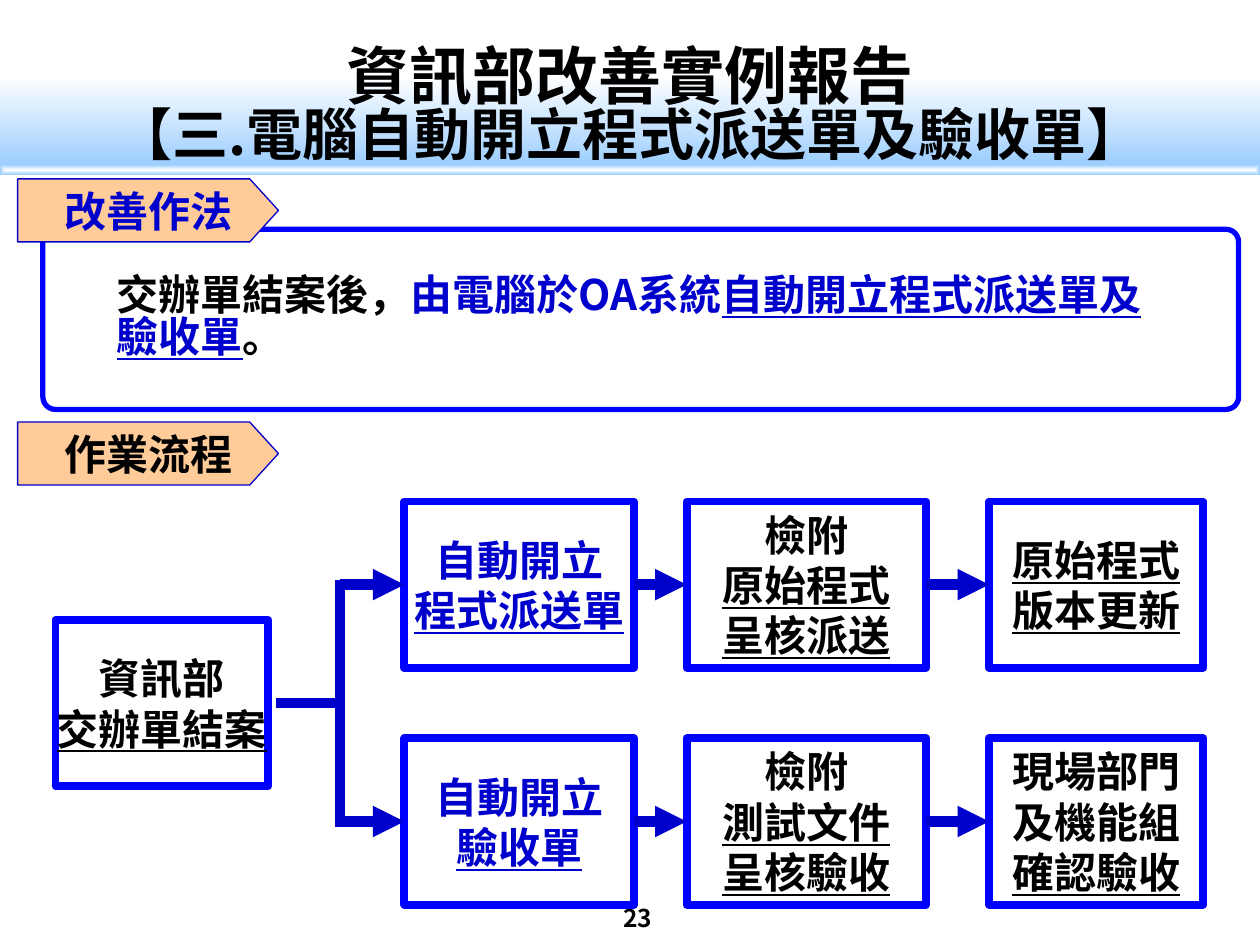
from lxml import etree
from pptx import Presentation
from pptx.dml.color import RGBColor
from pptx.enum.shapes import MSO_CONNECTOR, MSO_SHAPE
from pptx.enum.text import MSO_ANCHOR, MSO_AUTO_SIZE, PP_ALIGN
from pptx.oxml import parse_xml
from pptx.oxml.ns import nsdecls, qn
from pptx.util import Inches, Pt

RECT = MSO_SHAPE.RECTANGLE
ROUND = MSO_SHAPE.ROUNDED_RECTANGLE
LINE = MSO_CONNECTOR.STRAIGHT
LEFT, MID = PP_ALIGN.LEFT, PP_ALIGN.CENTER
FONT = "Noto Sans CJK SC"
BLACK = RGBColor(0x00, 0x00, 0x00)
WHITE = RGBColor(0xFF, 0xFF, 0xFF)
SKY = RGBColor(0x99, 0xCC, 0xFF)
BLUE = RGBColor(0x00, 0x00, 0xFF)
NAVY = RGBColor(0x00, 0x00, 0xCC)
PEACH = RGBColor(0xFF, 0xCC, 0x99)
COLS, ROWS = 100, 75
CELL = Inches(0.1)


def grid(*cells):
    return [round(n * CELL) for n in cells]


def write(shape, lines, size=24, color=BLACK, align=MID, pad=(0, 0), space=None):
    frame = shape.text_frame
    frame.auto_size = MSO_AUTO_SIZE.NONE
    frame.word_wrap = True
    frame.vertical_anchor = MSO_ANCHOR.MIDDLE
    frame.margin_left = frame.margin_right = round(pad[0] * CELL)
    frame.margin_top = frame.margin_bottom = round(pad[1] * CELL)
    for i, line in enumerate(lines):
        para = frame.add_paragraph() if i else frame.paragraphs[0]
        para.alignment = align
        para.space_before = Pt(0)
        para.line_spacing = space or 1.0
        for words, under, hue in line:
            run = para.add_run()
            run.text = words
            font = run.font
            font.name, font.size, font.bold = FONT, Pt(size), True
            font.underline = under
            font.color.rgb = hue or color
            face = etree.Element(qn("a:ea"), typeface=FONT)
            run.font._element.find(qn("a:latin")).addnext(face)


def plain(*lines):
    return [[(words, False, None)] for words in lines]


def label(slide, box, lines, **form):
    write(slide.shapes.add_textbox(*grid(*box)), lines, **form)


def frame_box(slide, box, width, kind=RECT):
    shape = slide.shapes.add_shape(kind, *grid(*box))
    shape.shadow.inherit = False
    shape.fill.background()
    shape.line.color.rgb = BLUE
    shape.line.width = Pt(width)
    return shape


def band(slide, box):
    shape = slide.shapes.add_shape(RECT, *grid(*box))
    shape.shadow.inherit = False
    shape.line.fill.background()
    shape.fill.gradient()
    shape.fill.gradient_angle = 270
    for stop, hue, place in zip(shape.fill.gradient_stops, (WHITE, SKY), (0, 1)):
        stop.color.rgb = hue
        stop.position = place
    return shape


def header(slide, box):
    x, y, w, h = box
    band(slide, (x, y + 0.43 * h, w, 0.53 * h))
    strip = band(slide, (x, y + 0.94 * h, w, 0.06 * h))
    grad = strip._element.spPr.find(qn("a:gradFill"))
    path = parse_xml(
        f'<a:path {nsdecls("a")} path="rect">'
        '<a:fillToRect l="50000" t="50000" r="50000" b="50000"/></a:path>'
    )
    grad.replace(grad.find(qn("a:lin")), path)
    title = slide.shapes.title
    title.left, title.top, title.width, title.height = grid(x, y + 2.9, w, 6)
    write(title, plain("資訊部改善實例報告"), size=36)
    title.element.getparent().append(title.element)
    label(slide, (x, y + 7.9, w, 5.3),
          plain("【三.電腦自動開立程式派送單及驗收單】"), size=32)


def tag(slide, box, words, color):
    x, y, w, h = box
    neck = x + 0.89 * w
    pen = slide.shapes.build_freeform(*grid(x, y))
    points = [(neck, y), (x + w, y + h / 2), (neck, y + h), (x, y + h)]
    pen.add_line_segments([grid(*p) for p in points], close=True)
    shape = pen.convert_to_shape()
    shape.shadow.inherit = False
    shape.fill.solid()
    shape.fill.fore_color.rgb = PEACH
    shape.line.color.rgb = NAVY
    shape.line.width = Pt(0.75)
    write(shape, plain(words), color=color, pad=(1, 0.5))


def method(slide, box):
    x, y, w, h = box
    panel = frame_box(slide, box, 3, ROUND)
    panel.adjustments[0] = 0.07
    body = [[("交辦單結案後，", False, BLACK),
             ("由電腦於OA系統", False, NAVY),
             ("自動開立程式派送單及驗收單", True, NAVY),
             ("。", False, BLACK)]]
    label(slide, (x + 4.9, y + 3.3, 0.9 * w, 7.7), body,
          align=LEFT, pad=(1, 0.5), space=Pt(24))


def step(slide, box, top, under, color=BLACK):
    shape = frame_box(slide, box, 4.5)
    lines = plain(*top) + [[(words, True, None)] for words in under]
    write(shape, lines, color=color)
    return shape


def link(slide, start, end, head=True, source=None, goal=None):
    line = slide.shapes.add_connector(LINE, *grid(*start), *grid(*end))
    if source is not None:
        line.begin_connect(source, 3)
    if goal is not None:
        line.end_connect(goal, 1)
    line.line.color.rgb = NAVY
    line.line.width = Pt(6)
    props = line._element.spPr
    if head:
        etree.SubElement(props.find(qn("a:ln")), qn("a:tailEnd"), type="triangle")
    etree.SubElement(props, qn("a:effectLst"))


def flow(slide, box):
    x, y, w, h = box
    tall = 13.2
    drop = h - tall
    trunk = x + 22.6
    stops = [(x + 27.7, 18.2), (x + 50.1, 19), (x + 74.1, 17)]
    rows = [
        [(("自動開立",), ("程式派送單",), NAVY),
         (("檢附",), ("原始程式", "呈核派送"), BLACK),
         ((), ("原始程式", "版本更新"), BLACK)],
        [(("自動開立",), ("驗收單",), NAVY),
         (("檢附",), ("測試文件", "呈核驗收"), BLACK),
         (("現場部門", "及機能組"), ("確認驗收",), BLACK)],
    ]
    step(slide, (x, y + drop / 2, 16.9, tall), ("資訊部",), ("交辦單結案",))
    center = y + h / 2
    link(slide, (x + 17.5, center), (trunk, center), head=False)
    link(slide, (trunk, y + tall / 2 - 0.4),
         (trunk, y + drop + tall / 2 + 0.4), head=False)
    for i, row in enumerate(rows):
        top = y + i * drop
        level = top + tall / 2
        last, edge = None, trunk
        for (left, wide), (words, under, color) in zip(stops, row):
            shape = step(slide, (left, top, wide, tall), words, under, color)
            link(slide, (edge, level), (left, level), source=last, goal=shape)
            last, edge = shape, left + wide


def main():
    deck = Presentation()
    deck.slide_width, deck.slide_height = grid(COLS, ROWS)
    slide = deck.slides.add_slide(deck.slide_layouts[5])
    header(slide, (0, 0, COLS, 13.9))
    label(slide, (45.9, 71.6, 9.4, 2.4), plain("23"), size=14)
    method(slide, (3.4, 18.2, 94.9, 14.3))
    tag(slide, (1.4, 14.2, 20.7, 5), "改善作法", NAVY)
    tag(slide, (1.4, 33.5, 20.7, 5), "作業流程", BLACK)
    flow(slide, (4.4, 39.8, 91.1, 32))
    deck.save("out.pptx")


if __name__ == "__main__":
    main()
